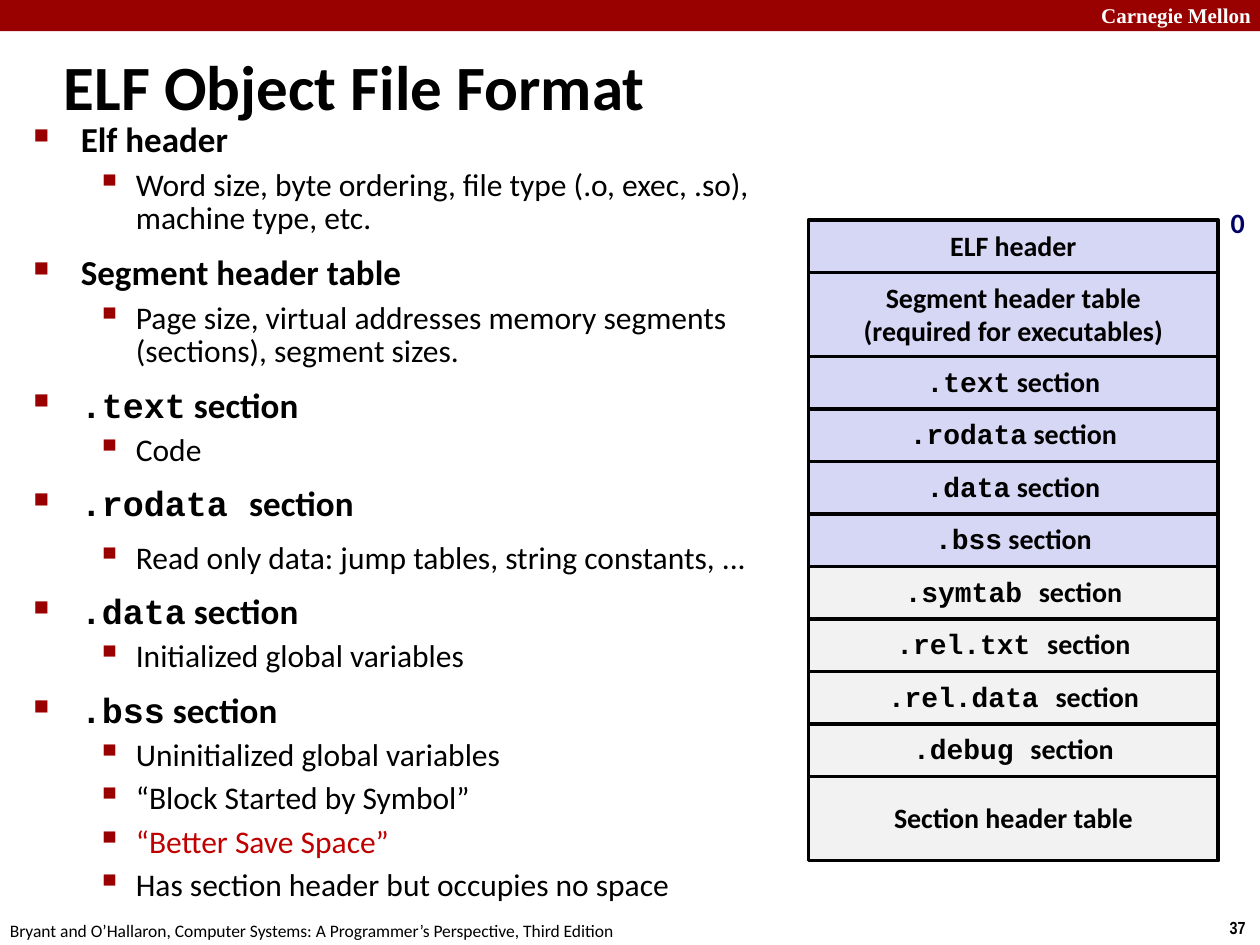
from lxml.etree import SubElement
from pptx import Presentation
from pptx.dml.color import RGBColor
from pptx.enum.shapes import MSO_SHAPE
from pptx.enum.text import MSO_ANCHOR, PP_ALIGN
from pptx.oxml.ns import qn
from pptx.util import Cm, Pt

COLORS = {
    "banner": "990000",
    "bullet": "990000",
    "accent": "C00000",
    "loaded": "D6D6F5",
    "unloaded": "F2F2F2",
    "offset": "000066",
    "text": "000000",
    "white": "FFFFFF",
}
BODY_FONT, CODE_FONT = "Calibri", "Courier New"

LABELS = [
    ("Carnegie Mellon", (21.95, -0.08, 3.63, 0.76), "Times New Roman", 12, True, "white", True),
    ("37", (24.54, 18.36, 0.86, 0.69), "Arial Narrow", 10, True, "text", False),
    ("Bryant and O’Hallaron, Computer Systems: A Programmer’s Perspective, Third Edition",
     (-0.05, 18.42, 12.9, 0.69), BODY_FONT, 10, False, "text", False),
    ("ELF Object File Format", (1.04, 0.64, 24.2, 2.18), BODY_FONT, 36, True, "text", True),
    ("0", (24.56, 4.01, 0.79, 0.94), BODY_FONT, 16, True, "offset", False),
]

OUTLINE = [
    (("", "Elf header"),
     ["Word size, byte ordering, file type (.o, exec, .so), machine type, etc."]),
    (("", "Segment header table"),
     ["Page size, virtual addresses memory segments (sections), segment sizes."]),
    ((".text", " section"), ["Code"]),
    ((".rodata ", "section"), ["Read only data: jump tables, string constants, ..."]),
    ((".data", " section"), ["Initialized global variables"]),
    ((".bss", " section"), [
        "Uninitialized global variables",
        "“Block Started by Symbol”",
        "“Better Save Space”",
        "Has section header but occupies no space",
    ]),
]
ACCENTED = "“Better Save Space”"
WIDELY_SPACED = "Read only data: jump tables, string constants, ..."

SECTIONS = [
    ([("", "ELF header")], "loaded", 1),
    ([("", "Segment header table"), ("", "(required for executables)")], "loaded", 1.6),
    ([(".text", " section")], "loaded", 1),
    ([(".rodata", " section")], "loaded", 1),
    ([(".data", " section")], "loaded", 1),
    ([(".bss", " section")], "loaded", 1),
    ([(".symtab ", "section")], "unloaded", 1),
    ([(".rel.txt ", "section")], "unloaded", 1),
    ([(".rel.data ", "section")], "unloaded", 1),
    ([(".debug ", "section")], "unloaded", 1),
    ([("", "Section header table")], "unloaded", 1.6),
]
STACK_LEFT, STACK_TOP, STACK_WIDTH, STACK_HEIGHT = 16.3, 4.44, 8.26, 12.91

BULLETS = [
    {"char": "■", "scale": 60, "margin": 0.95, "hang": 0.95},
    {"char": "▪", "scale": 110, "margin": 2.06, "hang": 0.79},
]


def rgb(name):
    return RGBColor.from_string(COLORS[name])


def add_run(paragraph, text, font, size, bold, color="text"):
    run = paragraph.add_run()
    run.text = text
    run.font.name = font
    run.font.size = Pt(size)
    run.font.bold = bold
    run.font.color.rgb = rgb(color)


def add_heading(paragraph, heading, size):
    for text, font in zip(heading, (CODE_FONT, BODY_FONT)):
        if text:
            add_run(paragraph, text, font, size, True)


def add_paragraph(text_frame, index):
    return text_frame.add_paragraph() if index else text_frame.paragraphs[0]


def add_bullet(paragraph, level):
    bullet = BULLETS[level]
    paragraph.level = level
    properties = paragraph._p.get_or_add_pPr()
    properties.set("marL", str(Cm(bullet["margin"])))
    properties.set("indent", str(-Cm(bullet["hang"])))
    color = SubElement(properties, qn("a:buClr"))
    SubElement(color, qn("a:srgbClr"), val=COLORS["bullet"])
    SubElement(properties, qn("a:buSzPct"), val=str(bullet["scale"] * 1000))
    SubElement(properties, qn("a:buChar"), char=bullet["char"])


def add_box(slide, left, top, width, height, fill):
    shape = slide.shapes.add_shape(
        MSO_SHAPE.RECTANGLE, Cm(left), Cm(top), Cm(width), Cm(height))
    shape.shadow.inherit = False
    shape.fill.solid()
    shape.fill.fore_color.rgb = rgb(fill)
    return shape


def add_labels(slide):
    for text, place, font, size, bold, color, wrap in LABELS:
        label = slide.shapes.add_textbox(*map(Cm, place))
        text_frame = label.text_frame
        text_frame.word_wrap = wrap
        if size == 36:
            text_frame.vertical_anchor = MSO_ANCHOR.MIDDLE
        add_run(text_frame.paragraphs[0], text, font, size, bold, color)


def add_outline(slide):
    body = slide.shapes.add_textbox(Cm(0.43), Cm(2.39), Cm(15.49), Cm(14.96))
    text_frame = body.text_frame
    text_frame.word_wrap = True
    for index, (heading, details) in enumerate(OUTLINE):
        paragraph = add_paragraph(text_frame, index)
        add_bullet(paragraph, 0)
        paragraph.line_spacing = 0.8 if heading[0] else 0.83
        paragraph.space_before = Pt(12.5 if index else 0)
        add_heading(paragraph, heading, 20)
        for detail in details:
            paragraph = text_frame.add_paragraph()
            add_bullet(paragraph, 1)
            wide = detail == WIDELY_SPACED
            paragraph.line_spacing = 0.8 if wide else 0.88
            paragraph.space_before = Pt(12.5 if wide else 5.7)
            color = "accent" if detail == ACCENTED else "text"
            add_run(paragraph, detail, BODY_FONT, 18, False, color)


def add_sections(slide):
    unit = STACK_HEIGHT / sum(weight for _, _, weight in SECTIONS)
    top = STACK_TOP
    for lines, fill, weight in SECTIONS:
        box = add_box(slide, STACK_LEFT, top, STACK_WIDTH, unit * weight, fill)
        box.line.color.rgb = rgb("text")
        box.line.width = Pt(2)
        text_frame = box.text_frame
        text_frame.word_wrap = False
        text_frame.vertical_anchor = MSO_ANCHOR.MIDDLE
        for index, line in enumerate(lines):
            paragraph = add_paragraph(text_frame, index)
            paragraph.alignment = PP_ALIGN.CENTER
            paragraph.line_spacing = 0.94 if line[0] else 0.98
            add_heading(paragraph, line, 16)
        top += unit * weight


def main():
    presentation = Presentation()
    presentation.slide_width, presentation.slide_height = Cm(25.4), Cm(19.05)
    slide = presentation.slides.add_slide(presentation.slide_layouts[6])
    banner = add_box(slide, 0, 0, 25.4, 0.63, "banner")
    banner.line.fill.background()
    add_labels(slide)
    add_outline(slide)
    add_sections(slide)
    presentation.save("out.pptx")


if __name__ == "__main__":
    main()
